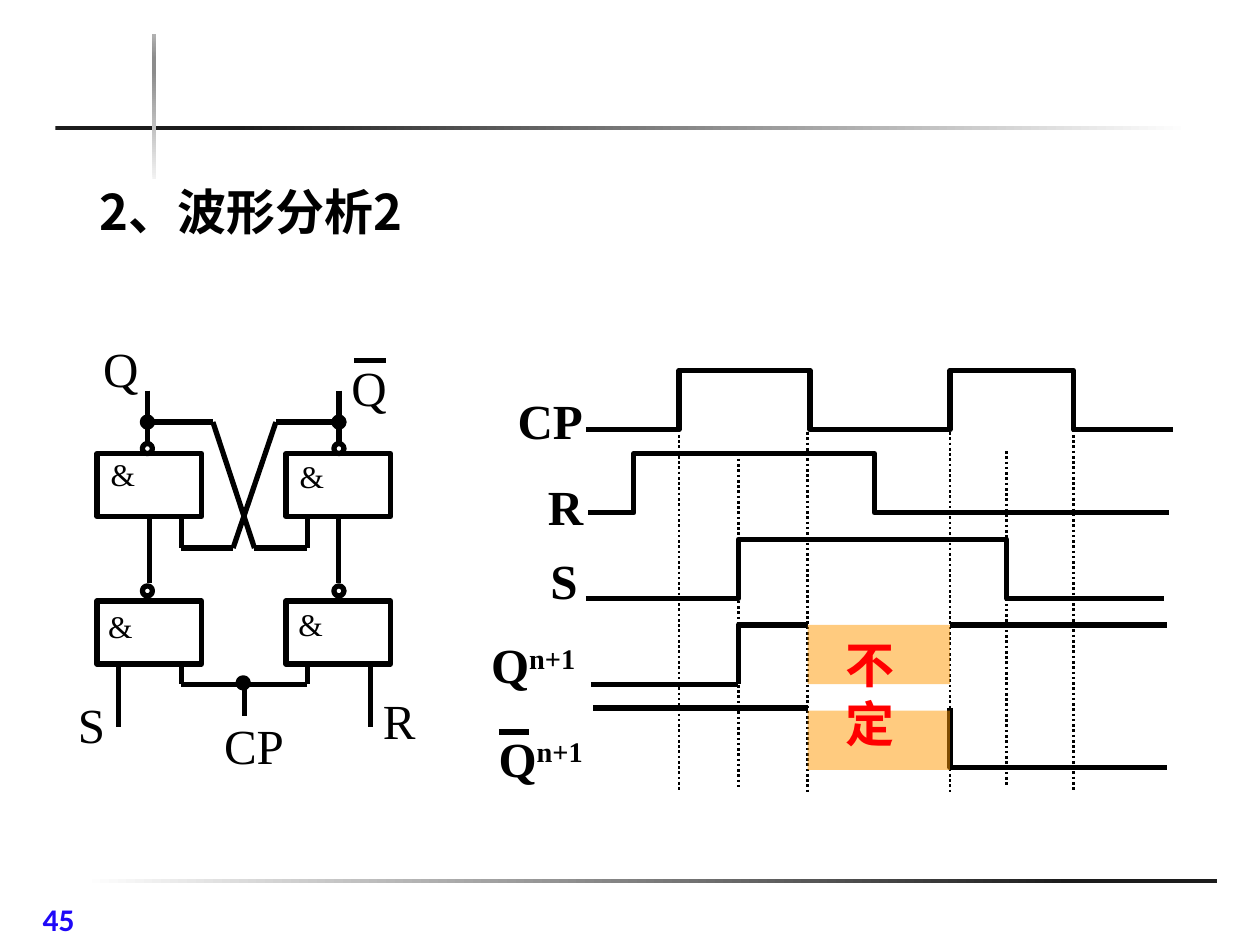
from lxml import etree
from pptx import Presentation
from pptx.dml.color import RGBColor
from pptx.enum import dml, shapes, text
from pptx.oxml.ns import qn
from pptx.util import Inches, Pt

BLACK = RGBColor(0x00, 0x00, 0x00)
RED = RGBColor(0xFF, 0x00, 0x00)
BLUE = RGBColor(0x1F, 0x08, 0xF8)
ORANGE = RGBColor(0xFF, 0x99, 0x00)
WHITE = RGBColor(0xFF, 0xFF, 0xFF)
DARK = RGBColor(0x1C, 0x1C, 0x1C)
PALE = RGBColor(0xF2, 0xF2, 0xF2)
GREY = RGBColor(0x8C, 0x8C, 0x8C)
SILVER = RGBColor(0xB2, 0xB2, 0xB2)

SERIF = "Times New Roman"
CJK = "Noto Sans CJK SC"
RECT = shapes.MSO_SHAPE.RECTANGLE
OVAL = shapes.MSO_SHAPE.OVAL
GATE_W, GATE_H, DOT = 0.83, 0.5, 0.08
TOP_Y, BOTTOM_Y = 3.6, 4.77
LEVEL = 0.47


class Board:
    weight = 3
    size = 28

    def __init__(self, slide):
        self.slide = slide
        self.shapes = slide.shapes

    def style_run(self, r, font, size, color, bold):
        r.font.name = font
        r.font.size = Pt(size)
        r.font.bold = bold
        r.font.color.rgb = color
        if font == CJK:
            etree.SubElement(r._r.get_or_add_rPr(), qn("a:ea")).set("typeface", font)

    def title(self, words, *box):
        s = self.shapes.title
        s.left, s.top, s.width, s.height = map(Inches, box)
        tf = s.text_frame
        tf.text = words
        tf.vertical_anchor = text.MSO_ANCHOR.MIDDLE
        p = tf.paragraphs[0]
        p.alignment = text.PP_ALIGN.LEFT
        self.style_run(p.runs[0], CJK, self.size, BLACK, True)

    def label(self, words, *box, font=SERIF, size=None, color=BLACK, bold=False, sup="", wrap=True):
        tf = self.shapes.add_textbox(*map(Inches, box)).text_frame
        tf.word_wrap = wrap
        p = tf.paragraphs[0]
        p.text = words
        if sup:
            r = p.add_run()
            r.text = sup
            r._r.get_or_add_rPr().set("baseline", "30000")
        for r in p.runs:
            self.style_run(r, font, size or self.size, color, bold)

    def line(self, x1, y1, x2, y2, dotted=False, start=None):
        c = self.shapes.add_connector(shapes.MSO_CONNECTOR.STRAIGHT, *map(Inches, (x1, y1, x2, y2)))
        c.line.color.rgb = BLACK
        c.line.width = Pt(1.5 if dotted else self.weight)
        if dotted:
            c.line.dash_style = dml.MSO_LINE.ROUND_DOT
        etree.SubElement(c._element.spPr, qn("a:effectLst"))
        if start is not None:
            c.begin_connect(start, 2)

    def wave(self, *points):
        pts = [(Inches(x), Inches(y)) for x, y in points]
        builder = self.shapes.build_freeform(*pts[0])
        builder.add_line_segments(pts[1:], close=False)
        s = builder.convert_to_shape()
        s.shadow.inherit = False
        s.fill.background()
        s.line.color.rgb = BLACK
        s.line.width = Pt(self.weight)

    def shape(self, kind, *box, fill=None, alpha=None, outlined=True):
        s = self.shapes.add_shape(kind, *map(Inches, box))
        s.shadow.inherit = False
        if fill is None:
            s.fill.background()
        else:
            s.fill.solid()
            s.fill.fore_color.rgb = fill
        if alpha:
            color = s._element.spPr.find(qn("a:solidFill"))[0]
            etree.SubElement(color, qn("a:alpha")).set("val", str(alpha * 1000))
        if outlined:
            s.line.color.rgb = BLACK
            s.line.width = Pt(self.weight)
        else:
            s.line.fill.background()
        return s

    def gradient_bar(self, box, stops, angle=0):
        s = self.shape(RECT, *box, outlined=False)
        s.fill.gradient()
        s.fill.gradient_angle = angle
        gs_list = s._element.spPr.find(".//" + qn("a:gsLst"))
        gs_list.clear()
        for position, color in stops:
            gs = etree.SubElement(gs_list, qn("a:gs"))
            gs.set("pos", str(position * 1000))
            etree.SubElement(gs, qn("a:srgbClr")).set("val", str(color))


def draw_frame(board):
    board.gradient_bar((0.66, 6.98, 9, 0.03), [(0, WHITE), (87, DARK)])
    board.gradient_bar((0.44, 1, 9, 0.03), [(16, DARK), (100, WHITE)])
    board.gradient_bar((1.21, 0.27, 0.03, 1.15),
                       [(0, PALE), (74, GREY), (83, GREY), (100, SILVER)], 90)
    board.label("45", 0.24, 7.09, 0.99, 0.37, font="Calibri", size=18, color=BLUE, bold=True)
    board.title("2、波形分析2", 0.69, 1.39, 2.91, 0.57)


def pulse_train(start, end, low, edges):
    high = low - LEVEL
    points, level = [(start, low)], low
    for x in edges:
        points.append((x, level))
        level = high if level == low else low
        points.append((x, level))
    return points + [(end, level)]


def draw_waveforms(board):
    for x, top, bottom in [(5.39, 3.41, 6.28), (6.41, 3.43, 6.29), (7.54, 3.43, 6.29),
                           (8.52, 3.41, 6.28), (5.86, 3.6, 6.26), (7.99, 3.58, 6.24)]:
        board.line(x, top, x, bottom, dotted=True)
    board.wave(*pulse_train(4.65, 9.31, 3.41, [5.39, 6.43, 7.54, 8.52]))
    board.wave(*pulse_train(4.67, 9.28, 4.07, [5.03, 6.94]))
    board.wave(*pulse_train(4.65, 9.24, 4.75, [5.86, 7.99]))
    board.wave(*pulse_train(5.86, 6.41, 5.43, [5.86])[1:])
    board.wave((7.54, 5.62), (7.54, 6.09), (9.26, 6.09))
    for x1, x2, y in [(4.69, 5.41, 5.43), (5.39, 5.86, 5.43), (4.71, 5.41, 5.62),
                      (5.39, 5.86, 5.62), (5.86, 6.41, 5.62), (7.54, 9.26, 4.96),
                      (3.96, 4.2, 5.81)]:
        board.line(x1, y, x2, y)
    for words, sup, x, y, w in [("CP", "", 4.01, 3.05, 0.89), ("R", "", 4.25, 3.73, 0.64),
                                ("S", "", 4.27, 4.32, 0.64), ("Q", "n+1", 3.8, 4.99, 1.13),
                                ("Q", "n+1", 3.86, 5.73, 1.13)]:
        board.label(words, x, y, w, 0.57, bold=True, sup=sup)
    for y in (4.96, 5.64):
        board.shape(RECT, 6.41, y, 1.13, LEVEL, fill=ORANGE, alpha=50, outlined=False)
    board.label("不定", 6.61, 4.99, 0.64, 1.03, font=CJK, color=RED, bold=True)


def draw_circuit(board):
    for gate_x, stem_x, inner_x, outer_x in [(0.77, 1.17, 1.44, 0.94), (2.27, 2.69, 2.44, 2.94)]:
        upper, _ = [board.shape(RECT, gate_x, y, GATE_W, GATE_H) for y in (TOP_Y, BOTTOM_Y)]
        for y, fill in [(3.31, BLACK), (3.52, None), (4.65, None)]:
            board.shape(OVAL, stem_x - DOT / 2, y, DOT, DOT, fill=fill)
        middle = gate_x + GATE_W / 2
        board.line(stem_x, 3.1, stem_x, 3.52)
        board.line(middle, 4.1, middle, 4.63, start=upper)
        board.line(inner_x, 4.1, inner_x, 4.35)
        board.line(inner_x, 5.27, inner_x, 5.43)
        board.line(outer_x, 5.27, outer_x, 5.77)
    for ends in [(1.19, 3.35, 1.69, 3.35), (2.19, 3.35, 2.69, 3.35),
                 (1.69, 3.35, 2.02, 4.35), (2.19, 3.35, 1.85, 4.35),
                 (2.02, 4.35, 2.44, 4.35), (1.44, 4.35, 1.85, 4.35),
                 (1.44, 5.43, 2.44, 5.43), (1.94, 5.43, 1.94, 5.68),
                 (2.81, 2.86, 3.06, 2.86)]:
        board.line(*ends)
    board.shape(OVAL, 1.89, 5.38, DOT, DOT, fill=BLACK)
    for words, x, y, w, wrap in [("Q", 0.72, 2.64, 0.67, True), ("Q", 2.69, 2.79, 0.5, False),
                                 ("S", 0.52, 5.46, 0.42, False), ("R", 2.94, 5.43, 0.44, True),
                                 ("CP", 1.68, 5.63, 0.68, False)]:
        board.label(words, x, y, w, 0.57, wrap=wrap)
    for x, y in [(0.78, 3.56), (2.28, 3.58), (0.76, 4.77), (2.27, 4.75)]:
        board.label("&", x, y, 0.4, 0.4, size=18)


def main():
    prs = Presentation()
    prs.slide_width, prs.slide_height = Inches(10), Inches(7.5)
    board = Board(prs.slides.add_slide(prs.slide_layouts[5]))
    draw_frame(board)
    draw_waveforms(board)
    draw_circuit(board)
    prs.save("out.pptx")


if __name__ == "__main__":
    main()
